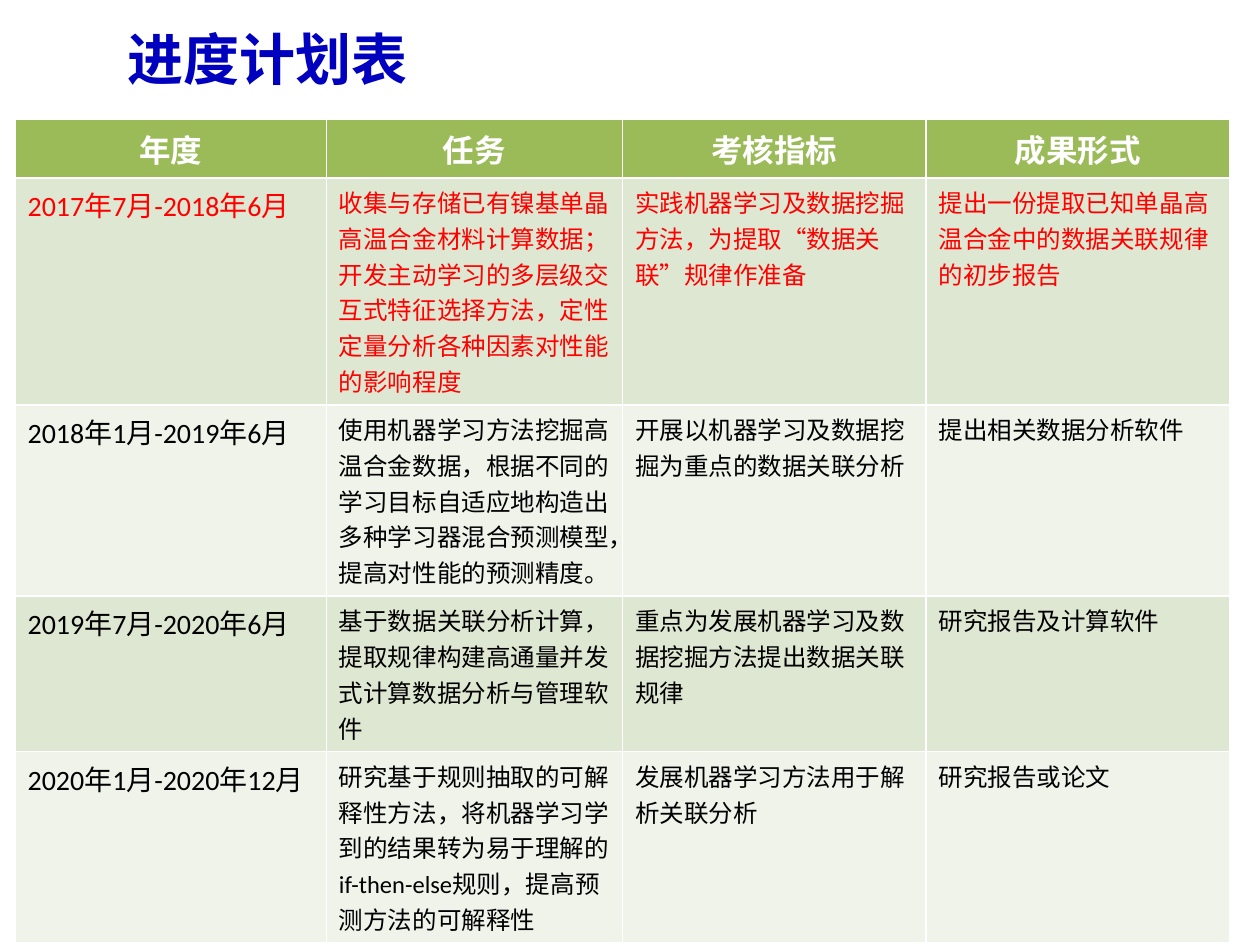
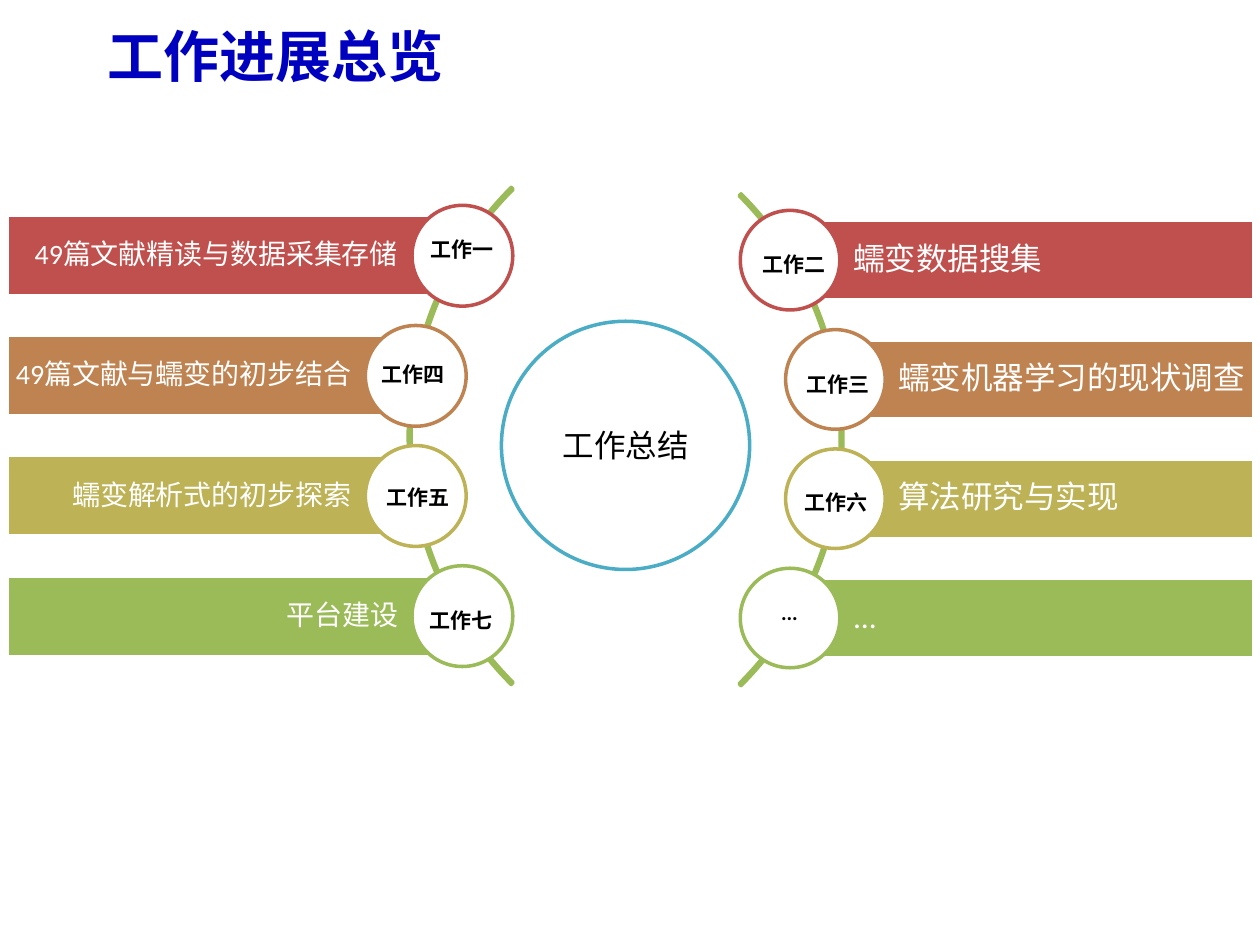
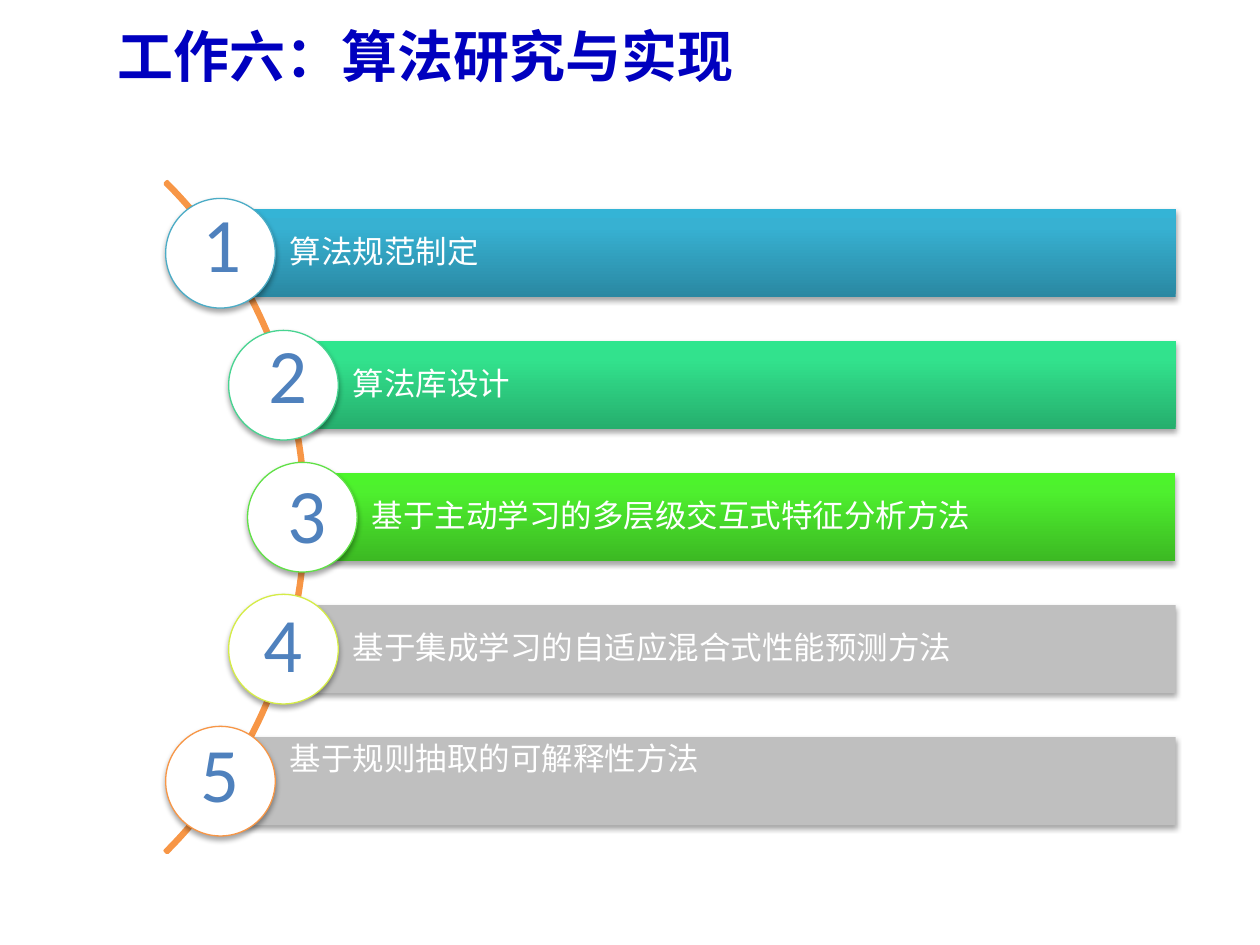
from copy import deepcopy

from lxml.etree import SubElement
from pptx import Presentation
from pptx.dml.color import RGBColor
from pptx.enum.lang import MSO_LANGUAGE_ID
from pptx.enum.shapes import MSO_SHAPE
from pptx.enum.text import MSO_ANCHOR, MSO_AUTO_SIZE, PP_ALIGN
from pptx.oxml.ns import qn
from pptx.util import Inches, Pt

WHITE = RGBColor(0xFF, 0xFF, 0xFF)
BLACK = RGBColor(0x00, 0x00, 0x00)
TITLE_BLUE = RGBColor(0x00, 0x00, 0xBF)
NUMBER_BLUE = RGBColor(0x4F, 0x81, 0xBD)
TEAL = RGBColor(0x4B, 0xAC, 0xC6)
RED = RGBColor(0xFF, 0x00, 0x00)
BRICK = RGBColor(0xC0, 0x50, 0x4D)
BROWN = RGBColor(0xBE, 0x83, 0x51)
OLIVE = RGBColor(0xBD, 0xB2, 0x55)
GREEN = RGBColor(0x9B, 0xBB, 0x59)
ORANGE = RGBColor(0xF7, 0x96, 0x46)
GREY = RGBColor(0xBF, 0xBF, 0xBF)
MINT = RGBColor(0x48, 0xD4, 0x91)
LIME = RGBColor(0x60, 0xE1, 0x46)
YELLOW = RGBColor(0xD5, 0xEC, 0x46)
ROW_DARK = RGBColor(0xDE, 0xE7, 0xD1)
ROW_LIGHT = RGBColor(0xEF, 0xF3, 0xEA)
BLUE_GRADIENT = [RGBColor(0x2A, 0x88, 0xA2), RGBColor(0x37, 0xB1, 0xD2), RGBColor(0x34, 0xB4, 0xD6)]
MINT_GRADIENT = [RGBColor(0x26, 0xAE, 0x6D), RGBColor(0x32, 0xE2, 0x8D), RGBColor(0x2E, 0xE6, 0x8E)]
LIME_GRADIENT = [RGBColor(0x3C, 0xB9, 0x23), RGBColor(0x4E, 0xF0, 0x2E), RGBColor(0x4C, 0xF5, 0x2A)]
LATIN_FONT = "Calibri"
CHINESE_FONT = "Noto Sans CJK SC"


def write(frame, text, size=18, color=BLACK, bold=False, font=LATIN_FONT, align=PP_ALIGN.LEFT,
          anchor=None, spacing=None, insets=None, wrap=True, fit=MSO_AUTO_SIZE.NONE):
    frame.word_wrap = wrap
    frame.auto_size = fit
    if anchor is not None:
        frame.vertical_anchor = anchor
    if insets:
        frame.margin_left, frame.margin_top, frame.margin_right, frame.margin_bottom = map(Inches, insets)
    paragraph = frame.paragraphs[0]
    paragraph.alignment = align
    paragraph.line_spacing = spacing
    run = paragraph.add_run()
    run.text = text
    run.font.size = Pt(size)
    run.font.bold = bold
    run.font.color.rgb = color
    run.font.name = font
    run.font.language_id = MSO_LANGUAGE_ID.SIMPLIFIED_CHINESE
    SubElement(run.font._element, qn("a:ea"), typeface=CHINESE_FONT)


def draw(slide, kind, left, top, width, height, fill=None, line=None, weight=2, shadow=False):
    shape = slide.shapes.add_shape(kind, Inches(left), Inches(top), Inches(width), Inches(height))
    if not shadow:
        shape.shadow.inherit = False
    if isinstance(fill, list):
        shape.fill.gradient()
        stop_list = shape._element.spPr.find(".//" + qn("a:gsLst"))
        stop_list.append(deepcopy(stop_list[-1]))
        for stop, color, position in zip(shape.fill.gradient_stops, fill, (0, 0.8, 1)):
            stop.color.rgb = color
            stop.position = position
        shape.fill.gradient_angle = 90
    elif fill is None:
        shape.fill.background()
    else:
        shape.fill.solid()
        shape.fill.fore_color.rgb = fill
    if line is None:
        shape.line.fill.background()
    else:
        shape.line.color.rgb = line
        shape.line.width = Pt(weight)
    return shape


presentation = Presentation()
presentation.slide_width = Inches(10)
presentation.slide_height = Inches(7.5)

slides = []
for text, left, top in [("进度计划表", 0.91, 0.03), ("工作进展总览", 0.75, 0), ("工作六：算法研究与实现", 0.83, 0)]:
    slide = presentation.slides.add_slide(presentation.slide_layouts[5])
    title = slide.shapes.title
    title.left, title.top, title.width, title.height = map(Inches, (left, top, 9, 0.87))
    write(title.text_frame, text, size=32, color=TITLE_BLUE, bold=True, font=CHINESE_FONT,
          anchor=MSO_ANCHOR.MIDDLE)
    slides.append(slide)
schedule_slide, overview_slide, algorithm_slide = slides

schedule = [
    ("年度", "任务", "考核指标", "成果形式"),
    ("2017年7月-2018年6月",
     "收集与存储已有镍基单晶高温合金材料计算数据；开发主动学习的多层级交互式特征选择方法，定性定量分析各种因素对性能的影响程度",
     "实践机器学习及数据挖掘方法，为提取“数据关联”规律作准备",
     "提出一份提取已知单晶高温合金中的数据关联规律的初步报告"),
    ("2018年1月-2019年6月",
     "使用机器学习方法挖掘高温合金数据，根据不同的学习目标自适应地构造出多种学习器混合预测模型，提高对性能的预测精度。",
     "开展以机器学习及数据挖掘为重点的数据关联分析",
     "提出相关数据分析软件"),
    ("2019年7月-2020年6月",
     "基于数据关联分析计算，提取规律构建高通量并发式计算数据分析与管理软件",
     "重点为发展机器学习及数据挖掘方法提出数据关联规律",
     "研究报告及计算软件"),
    ("2020年1月-2020年12月",
     "研究基于规则抽取的可解释性方法，将机器学习学到的结果转为易于理解的if-then-else规则，提高预测方法的可解释性",
     "发展机器学习方法用于解析关联分析",
     "研究报告或论文"),
]
table = schedule_slide.shapes.add_table(
    len(schedule), len(schedule[0]), Inches(0.12), Inches(0.95), Inches(9.65), Inches(5.79)).table
for column, width in zip(table.columns, (2.47, 2.35, 2.41, 2.41)):
    column.width = Inches(width)
for row, height in zip(table.rows, (0.38, 1.42, 1.29, 0.94, 1.48)):
    row.height = Inches(height)
for row_index, texts in enumerate(schedule):
    for column_index, text in enumerate(texts):
        cell = table.cell(row_index, column_index)
        cell.fill.solid()
        if row_index == 0:
            cell.fill.fore_color.rgb = GREEN
            write(cell.text_frame, text, color=WHITE, bold=True, align=PP_ALIGN.CENTER)
        else:
            cell.fill.fore_color.rgb = ROW_DARK if row_index % 2 else ROW_LIGHT
            write(cell.text_frame, text, size=14 if column_index else 16,
                  color=RED if row_index == 1 else BLACK)

summary = draw(overview_slide, MSO_SHAPE.OVAL, 3.98, 2.55, 1.97, 1.97, fill=WHITE, line=TEAL)
write(summary.text_frame, "工作总结", align=PP_ALIGN.CENTER, anchor=MSO_ANCHOR.MIDDLE)

arcs = [
    (overview_slide, 1.17, 0.73, 5.52, GREEN, (189, 27, 0.004)),
    (overview_slide, 3.24, 0.67, 5.58, GREEN, (81, 135, 0.004)),
    (algorithm_slide, -5.1, 0.34, 7.53, ORANGE, (189, 27, 0.003)),
]
for slide, left, top, diameter, color, adjustments in arcs:
    arc = draw(slide, MSO_SHAPE.BLOCK_ARC, left, top, diameter, diameter, line=color)
    for index, value in enumerate(adjustments):
        arc.adjustments[index] = value

work_colors = [BRICK, BROWN, OLIVE, GREEN]
sides = [
    (["蠕变数据搜集", "蠕变机器学习的现状调查", "算法研究与实现", "..."],
     (6.27, 6.63, 6.63, 6.27), 9.95, 1.75, 4.59, 0.63, 0.79, 18, PP_ALIGN.LEFT, (0.5, 0.05, 0.05, 0.05)),
    (["49篇文献精读与数据采集存储", "49篇文献与蠕变的初步结合", "蠕变解析式的初步探索", "平台建设"],
     (3.67, 3.3, 3.3, 3.67), 0.06, 1.71, 4.57, 0.64, 0.8, 16, PP_ALIGN.RIGHT, (0.04, 0.04, 0.51, 0.04)),
]
for texts, inner_edges, outer_edge, first_top, last_top, height, diameter, size, align, insets in sides:
    pitch = (last_top - first_top) / (len(texts) - 1)
    for index, (text, inner_edge, color) in enumerate(zip(texts, inner_edges, work_colors)):
        top = first_top + index * pitch
        bar = draw(overview_slide, MSO_SHAPE.RECTANGLE, min(inner_edge, outer_edge), top,
                   abs(outer_edge - inner_edge), height, fill=color, line=WHITE)
        write(bar.text_frame, text, size=size, color=WHITE, align=align,
              anchor=MSO_ANCHOR.MIDDLE, spacing=0.9, insets=insets)
        draw(overview_slide, MSO_SHAPE.OVAL, inner_edge - diameter / 2,
             top + (height - diameter) / 2, diameter, diameter, fill=WHITE, line=color)

work_labels = [
    ("工作一", 3.32, 1.83), ("工作二", 5.95, 1.95), ("工作四", 2.93, 2.82), ("工作三", 6.3, 2.9),
    ("工作六", 6.29, 3.84), ("工作五", 2.97, 3.8), ("工作七", 3.31, 4.77), ("...", 6.1, 4.71),
]
for text, left, top in work_labels:
    label = overview_slide.shapes.add_textbox(Inches(left), Inches(top), Inches(0.71), Inches(0.3))
    write(label.text_frame, text, size=12, bold=True, fit=MSO_AUTO_SIZE.SHAPE_TO_FIT_TEXT)

algorithms = [
    ("算法规范制定", 1.75, BLUE_GRADIENT, TEAL, MSO_ANCHOR.MIDDLE),
    ("算法库设计", 2.25, MINT_GRADIENT, MINT, MSO_ANCHOR.MIDDLE),
    ("基于主动学习的多层级交互式特征分析方法", 2.4, LIME_GRADIENT, LIME, MSO_ANCHOR.MIDDLE),
    ("基于集成学习的自适应混合式性能预测方法", 2.25, GREY, YELLOW, MSO_ANCHOR.MIDDLE),
    ("基于规则抽取的可解释性方法", 1.75, GREY, ORANGE, MSO_ANCHOR.TOP),
]
bar_height, circle_size, bar_right = 0.7, 0.87, 9.33
pitch = (5.85 - 1.66) / (len(algorithms) - 1)
for index, (text, left, fill, outline, anchor) in enumerate(algorithms):
    top = 1.66 + index * pitch
    bar = draw(algorithm_slide, MSO_SHAPE.RECTANGLE, left, top, bar_right - left, bar_height,
               fill=fill, shadow=True)
    write(bar.text_frame, text, color=WHITE, anchor=anchor, spacing=0.9, insets=(0.55, 0.05, 0.05, 0.05))
    draw(algorithm_slide, MSO_SHAPE.OVAL, left - circle_size / 2, top + (bar_height - circle_size) / 2,
         circle_size, circle_size, fill=WHITE, line=outline, weight=0.75, shadow=True)

number_places = [(1.51, 1.5), (2.03, 2.54), (2.18, 3.65), (1.99, 4.68), (1.49, 5.71)]
for number, (left, top) in enumerate(number_places, 1):
    label = algorithm_slide.shapes.add_textbox(Inches(left), Inches(top), Inches(0.51), Inches(0.84))
    write(label.text_frame, str(number), size=44, color=NUMBER_BLUE, align=PP_ALIGN.CENTER,
          wrap=False, fit=MSO_AUTO_SIZE.SHAPE_TO_FIT_TEXT)

presentation.save("out.pptx")
